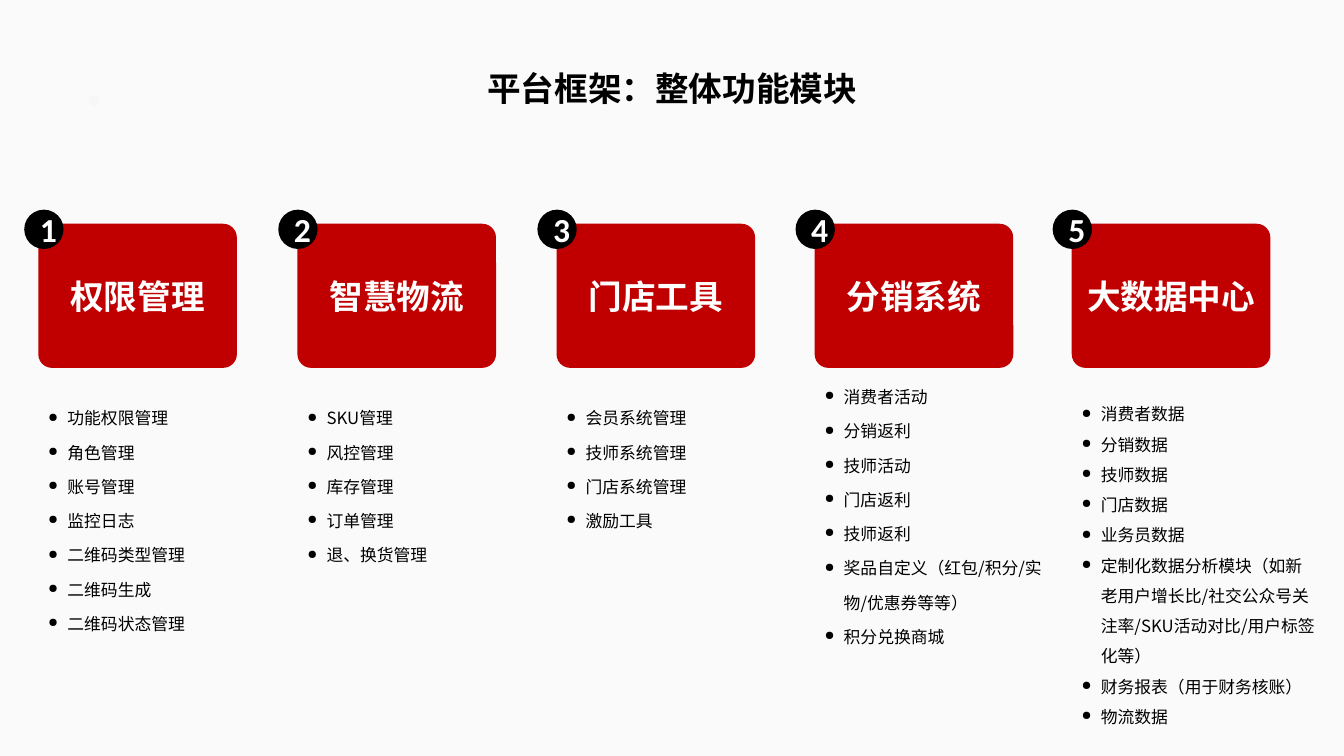
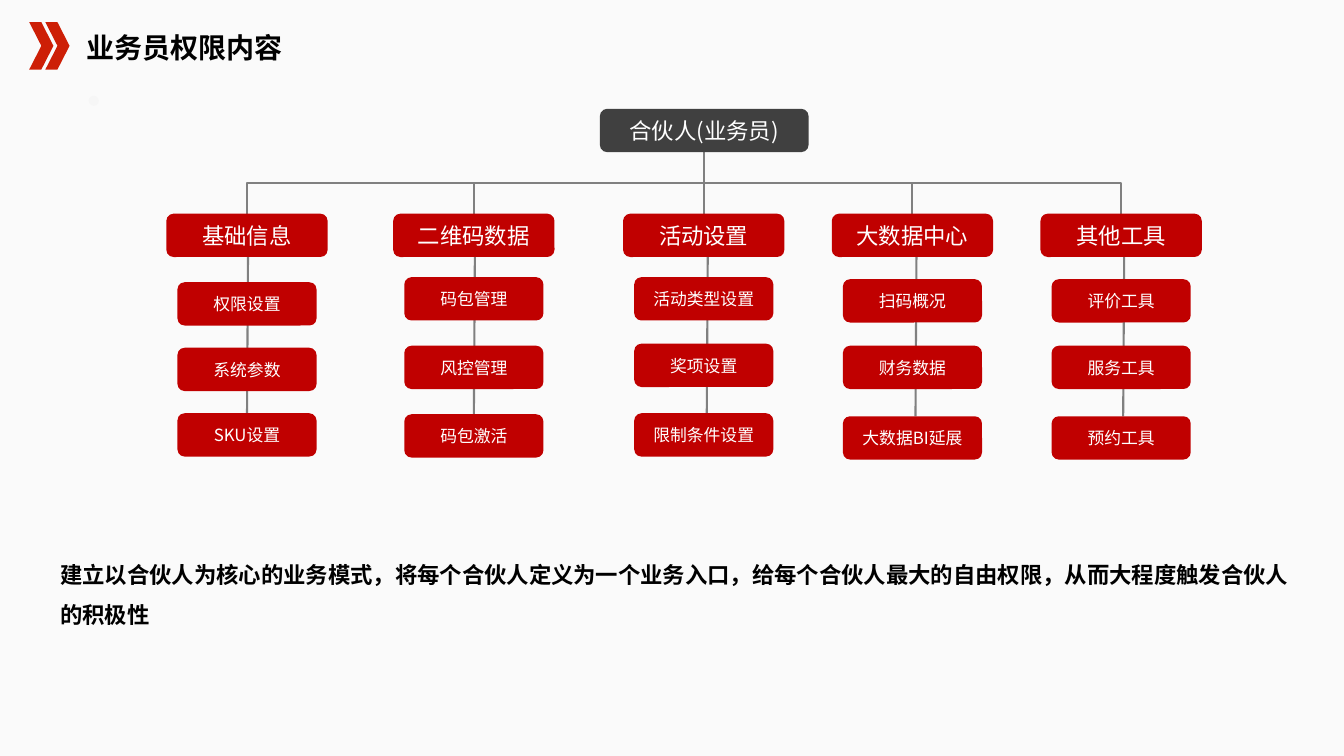
from lxml import etree
from pptx import Presentation
from pptx.dml.color import RGBColor
from pptx.enum.shapes import MSO_CONNECTOR, MSO_SHAPE
from pptx.enum.text import MSO_ANCHOR, PP_ALIGN
from pptx.oxml.ns import qn
from pptx.util import Inches, Pt

ROUNDED, OVAL, CHEVRON = MSO_SHAPE.ROUNDED_RECTANGLE, MSO_SHAPE.OVAL, MSO_SHAPE.CHEVRON
STRAIGHT, ELBOW = MSO_CONNECTOR.STRAIGHT, MSO_CONNECTOR.ELBOW
LEFT, CENTER = PP_ALIGN.LEFT, PP_ALIGN.CENTER
MIDDLE = MSO_ANCHOR.MIDDLE

RED = RGBColor(0xC0, 0x00, 0x00)
CHEVRON_RED = RGBColor(0xCD, 0x1F, 0x06)
BLACK = RGBColor(0x00, 0x00, 0x00)
WHITE = RGBColor(0xFF, 0xFF, 0xFF)
CHARCOAL = RGBColor(0x40, 0x40, 0x40)
LINE_GRAY = RGBColor(0x80, 0x80, 0x80)
DOT_GRAY = RGBColor(0xF6, 0xF6, 0xF6)
BACKGROUND_TOP = RGBColor(0xFA, 0xFA, 0xFA)
BACKGROUND_BOTTOM = RGBColor(0xFC, 0xFC, 0xFC)

CJK_FONT = "Noto Sans CJK SC"
BULLET_INDENT = Inches(0.19)


def write(shape, lines, size, color, bold=False, align=LEFT, font=CJK_FONT,
          spacing=None, bullet=None):
    """Fill a shape with one paragraph per line, all in the same style."""
    frame = shape.text_frame
    frame.word_wrap = True
    for index, line in enumerate(lines):
        paragraph = frame.add_paragraph() if index else frame.paragraphs[0]
        paragraph.text = line
        paragraph.alignment = align
        if spacing:
            paragraph.line_spacing = spacing
        if bullet:
            properties = paragraph._p.get_or_add_pPr()
            properties.set("marL", str(BULLET_INDENT))
            properties.set("indent", str(-BULLET_INDENT))
            etree.SubElement(properties, qn("a:buSzPct")).set("val", "75000")
            etree.SubElement(properties, qn("a:buChar")).set("char", bullet)
        paragraph.font.size = Pt(size)
        paragraph.font.bold = bold
        paragraph.font.color.rgb = color
        paragraph.font.name = font
        defaults = paragraph._p.pPr.find(qn("a:defRPr"))
        etree.SubElement(defaults, qn("a:ea")).set("typeface", CJK_FONT)


def add_block(slide, kind, left, top, width, height, fill):
    """Add a flat, borderless preset shape."""
    shape = slide.shapes.add_shape(
        kind, Inches(left), Inches(top), Inches(width), Inches(height))
    shape.shadow.inherit = False
    shape.fill.solid()
    shape.fill.fore_color.rgb = fill
    shape.line.fill.background()
    shape.text_frame.vertical_anchor = MIDDLE
    return shape


presentation = Presentation()
presentation.slide_width = Inches(13.33)
presentation.slide_height = Inches(7.5)

# Shared background and dot
slides = []
for _ in range(2):
    slide = presentation.slides.add_slide(presentation.slide_layouts[6])
    background = slide.background.fill
    background.gradient()
    background.gradient_angle = 270
    for stop, color in zip(background.gradient_stops, (BACKGROUND_TOP, BACKGROUND_BOTTOM)):
        stop.color.rgb = color
    add_block(slide, OVAL, 0.88, 0.95, 0.1, 0.1, DOT_GRAY)
    slides.append(slide)
modules_slide, rights_slide = slides

# Slide 1: title
title = modules_slide.shapes.add_textbox(
    Inches(2.27), Inches(0.62), Inches(8.79), Inches(0.5))
write(title, ["平台框架：整体功能模块"], 24, BLACK, bold=True, align=CENTER)

# Slide 1: numbered cards, each with its feature list
# (name, card left, badge left, list top, list width, line spacing, features)
MODULES = [
    ("权限管理", 0.38, 0.24, 3.86, 2.78, 1.7,
     ["功能权限管理", "角色管理", "账号管理", "监控日志", "二维码类型管理",
      "二维码生成", "二维码状态管理"]),
    ("智慧物流", 2.95, 2.76, 3.86, 2.78, 1.7,
     ["SKU管理", "风控管理", "库存管理", "订单管理", "退、换货管理"]),
    ("门店工具", 5.52, 5.33, 3.86, 2.76, 1.7,
     ["会员系统管理", "技师系统管理", "门店系统管理", "激励工具"]),
    ("分销系统", 8.08, 7.89, 3.65, 2.36, 1.7,
     ["消费者活动", "分销返利", "技师活动", "门店返利", "技师返利",
      "奖品自定义（红包/积分/实物/优惠券等等）", "积分兑换商城"]),
    ("大数据中心", 10.63, 10.44, 3.86, 2.51, 1.5,
     ["消费者数据", "分销数据", "技师数据", "门店数据", "业务员数据",
      "定制化数据分析模块（如新老用户增长比/社交公众号关注率/SKU活动对比/用户标签化等）",
      "财务报表（用于财务核账）", "物流数据"]),
]
for number, (name, left, badge_left, list_top, list_width, spacing,
             features) in enumerate(MODULES, 1):
    card = add_block(modules_slide, ROUNDED, left, 2.22, 1.97, 1.43, RED)
    card.adjustments[0] = 0.095
    write(card, [name], 24, WHITE, bold=True, align=CENTER)
    badge = add_block(modules_slide, OVAL, badge_left, 2.08, 0.39, 0.39, BLACK)
    write(badge, [str(number)], 24, WHITE, bold=True, align=CENTER, font="Calibri")
    feature_list = modules_slide.shapes.add_textbox(
        Inches(left), Inches(list_top), Inches(list_width), Inches(3.43))
    write(feature_list, features, 12, BLACK, spacing=spacing, bullet="●")

# Slide 2: title with double chevron
for left in (0.29, 0.45):
    add_block(rights_slide, CHEVRON, left, 0.22, 0.24, 0.47, CHEVRON_RED)
title = rights_slide.shapes.add_textbox(
    Inches(0.86), Inches(0.3), Inches(3.44), Inches(0.34))
frame = title.text_frame
frame.margin_left = frame.margin_right = frame.margin_top = frame.margin_bottom = 0
frame.vertical_anchor = MIDDLE
write(title, ["业务员权限内容"], 20, BLACK, bold=True, font="Roboto Condensed")

# Slide 2: organisation tree
# (heading, left, spine x, [(item, top), ...])
BRANCHES = [
    ("基础信息", 1.65, 2.46, [("权限设置", 2.8), ("系统参数", 3.45), ("SKU设置", 4.1)]),
    ("二维码数据", 3.9, 4.71, [("码包管理", 2.75), ("风控管理", 3.43), ("码包激活", 4.11)]),
    ("活动设置", 6.18, 7.02, [("活动类型设置", 2.75), ("奖项设置", 3.41), ("限制条件设置", 4.1)]),
    ("大数据中心", 8.25, 9.09, [("扫码概况", 2.77), ("财务数据", 3.43), ("大数据BI延展", 4.13)]),
    ("其他工具", 10.32, 11.15, [("评价工具", 2.77), ("服务工具", 3.43), ("预约工具", 4.13)]),
]
NODE_HEIGHT, HEADING_WIDTH, ITEM_WIDTH = 0.43, 1.6, 1.38
HEADING_TOP = 2.12
ROOT_X, ROOT_BOTTOM = 6.98, 1.51

# Connectors first, so that they lie behind the nodes
connectors = []
for heading, left, spine_x, items in BRANCHES:
    connectors.append(rights_slide.shapes.add_connector(
        STRAIGHT, Inches(spine_x), Inches(2.52), Inches(spine_x - 0.01), Inches(items[-1][1])))
    # An elbow leaves sideways, so it is laid out on its side and turned a quarter
    branch_x = left + HEADING_WIDTH / 2
    center_x = (ROOT_X + branch_x) / 2
    center_y = (ROOT_BOTTOM + HEADING_TOP) / 2
    half_drop = (HEADING_TOP - ROOT_BOTTOM) / 2
    half_run = (ROOT_X - branch_x) / 2
    elbow = rights_slide.shapes.add_connector(
        ELBOW, Inches(center_x - half_drop), Inches(center_y - half_run),
        Inches(center_x + half_drop), Inches(center_y + half_run))
    elbow._element.spPr.find(qn("a:xfrm")).set("rot", "5400000")
    connectors.append(elbow)
for connector in connectors:
    connector.line.color.rgb = LINE_GRAY
    connector.line.width = Pt(1.5)
    etree.SubElement(connector._element.spPr, qn("a:effectLst"))

root = add_block(rights_slide, ROUNDED, 5.95, 1.08, 2.07, NODE_HEIGHT, CHARCOAL)
write(root, ["合伙人(业务员)"], 16, WHITE, align=CENTER)
for heading, left, spine_x, items in BRANCHES:
    node = add_block(rights_slide, ROUNDED, left, HEADING_TOP, HEADING_WIDTH, NODE_HEIGHT, RED)
    write(node, [heading], 16, WHITE, align=CENTER)
    item_left = left + (HEADING_WIDTH - ITEM_WIDTH) / 2
    for item, top in items:
        node = add_block(rights_slide, ROUNDED, item_left, top, ITEM_WIDTH, NODE_HEIGHT, RED)
        write(node, [item], 12, WHITE, align=CENTER)

# Slide 2: summary
summary = rights_slide.shapes.add_textbox(
    Inches(0.5), Inches(5.38), Inches(12.5), Inches(0.91))
write(summary, ["建立以合伙人为核心的业务模式，将每个合伙人定义为一个业务入口，"
                "给每个合伙人最大的自由权限，从而大程度触发合伙人的积极性"],
      16, BLACK, bold=True, spacing=1.5)

presentation.save("out.pptx")
